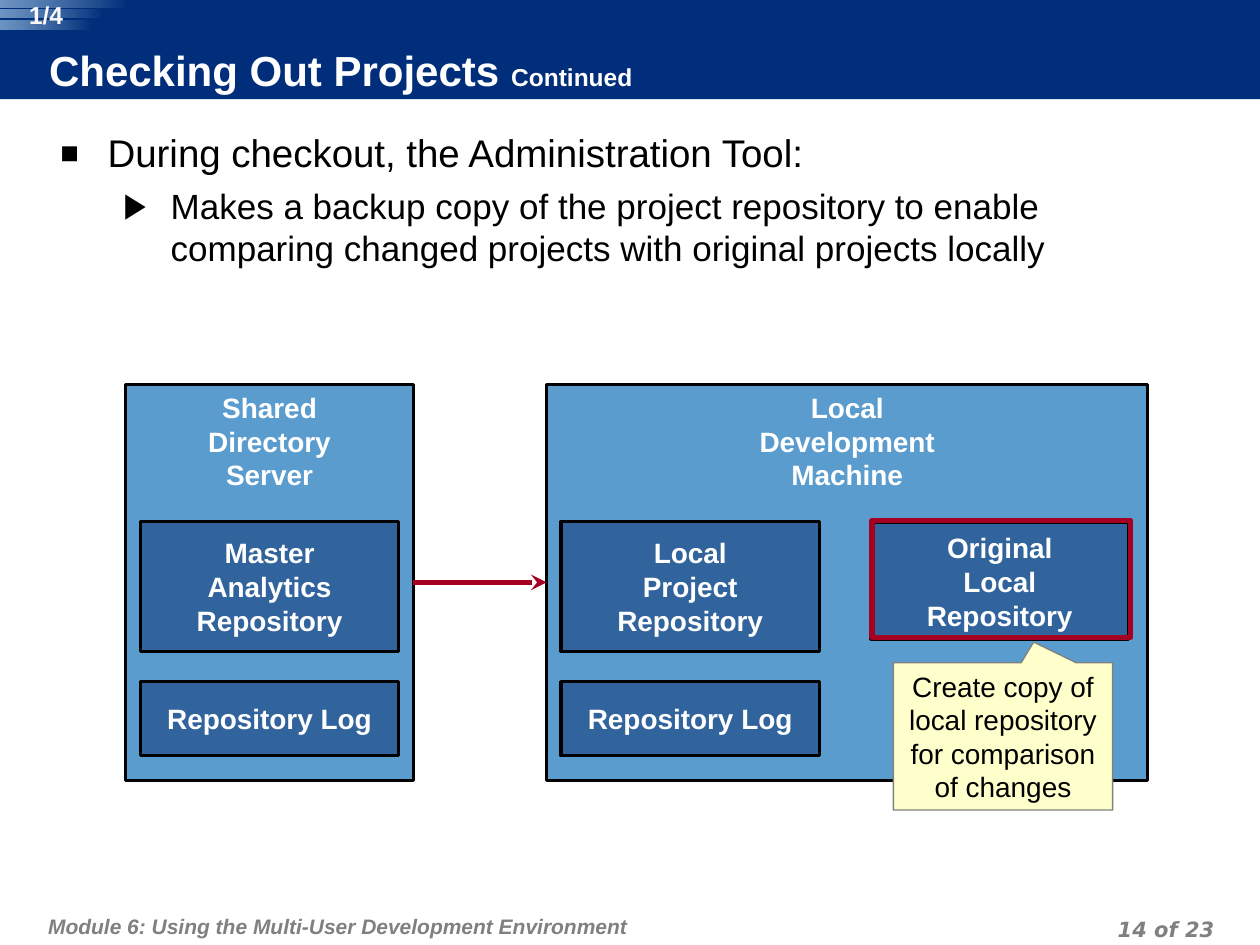
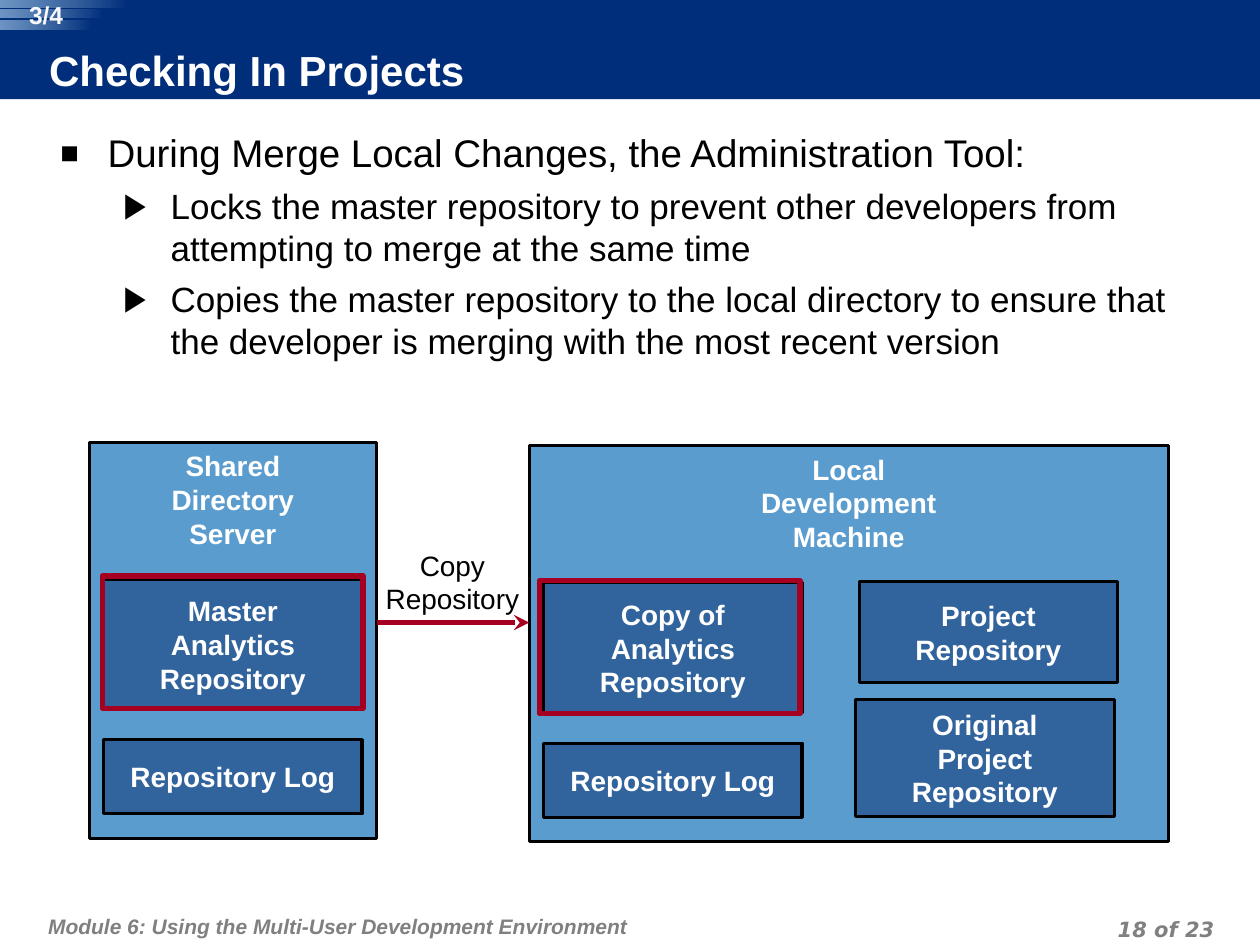
"""Build two slides on checking projects out of and into a shared repository."""
from dataclasses import dataclass
from typing import NamedTuple, Optional

import pptx
import pptx.dml.color
import pptx.enum.shapes
import pptx.enum.text
import pptx.oxml.ns
import pptx.shapes.autoshape
import pptx.shapes.connector
import pptx.slide
import pptx.text.text
import pptx.util
from lxml import etree

Cm = pptx.util.Cm
Pt = pptx.util.Pt
RGB = pptx.dml.color.RGBColor.from_string
qn = pptx.oxml.ns.qn
ShapeKind = pptx.enum.shapes.MSO_SHAPE
Align = pptx.enum.text.PP_ALIGN
Anchor = pptx.enum.text.MSO_ANCHOR


class TextStyle(NamedTuple):
    """Font settings of a paragraph."""
    size: float
    color: str
    bold: bool = False
    italic: bool = False
    font: str = "Arial"


class Area(NamedTuple):
    """A rectangle in centimetres."""
    left: float
    top: float
    width: float
    height: float


class Outline(NamedTuple):
    """Colour and width in points of a line."""
    color: str
    width: float


class Insets(NamedTuple):
    """Text margins in centimetres."""
    left: float = 0.25
    top: float = 0.13
    right: float = 0.25
    bottom: float = 0.13


@dataclass(frozen=True)
class Theme:
    """Colours, lines and type of the presentation."""
    navy: str = "002E7A"
    stripe: str = "90B5DA"
    panel: str = "5A9CCE"
    box: str = "31639C"
    note: str = "FFFFCC"
    black: str = "000000"
    border: Outline = Outline("000000", 1.75)
    accent: Outline = Outline("A50021", 3)
    note_border: Outline = Outline("808080", 0.75)
    title: TextStyle = TextStyle(24, "FFFFFF", bold=True)
    suffix_size: float = 14
    counter: TextStyle = TextStyle(14, "F8F8F8", bold=True)
    heading: TextStyle = TextStyle(22, "000000")
    point: TextStyle = TextStyle(20, "000000")
    box_text: TextStyle = TextStyle(16, "FFFFFF", bold=True)
    note_text: TextStyle = TextStyle(16, "000000")
    footer: TextStyle = TextStyle(12, "808080", bold=True, italic=True)
    page: TextStyle = TextStyle(12, "808080", bold=True, italic=True, font="DejaVu Sans")


THEME = Theme()
MODULE = "Module 6: Using the Multi-User Development Environment"
PAGE_TOTAL = 23
STRIPES = [Area(0, 0, 2.57, 0.15), Area(0, 0.2, 2.08, 0.15), Area(0, 0.41, 1.85, 0.18)]
BOX_WIDTH = 5.21


@dataclass(frozen=True)
class Panel:
    """A machine holding a repository box above a log box."""
    left: float
    top: float
    width: float
    title: str
    repository: str
    height: float = 7.98

    def area(self) -> Area:
        """Return the outer rectangle."""
        return Area(self.left, self.top, self.width, self.height)


@dataclass(frozen=True)
class Box:
    """A labelled repository box."""
    area: Area
    text: str


@dataclass(frozen=True)
class Page:
    """Wording of the parts that every slide has."""
    counter: str
    title: str
    suffix: str
    number: int
    heading: str
    points: tuple[str, ...]


def style_paragraph(paragraph: pptx.text.text._Paragraph, style: TextStyle) -> None:
    """Apply a text style to a paragraph."""
    font = paragraph.font
    font.name, font.size = style.font, Pt(style.size)
    font.bold, font.italic = style.bold, style.italic
    font.color.rgb = RGB(style.color)


def write(shape: pptx.shapes.autoshape.Shape, text: str, style: TextStyle,
          align: Align = Align.CENTER, anchor: Anchor = Anchor.TOP,
          insets: Insets = Insets(), wrap: bool = False) -> pptx.text.text.TextFrame:
    """Fill a shape with text, one paragraph a line."""
    frame = shape.text_frame
    frame.text = text
    frame.word_wrap, frame.vertical_anchor = wrap, anchor
    frame.margin_left, frame.margin_top = Cm(insets.left), Cm(insets.top)
    frame.margin_right, frame.margin_bottom = Cm(insets.right), Cm(insets.bottom)
    for paragraph in frame.paragraphs:
        paragraph.alignment = align
        style_paragraph(paragraph, style)
    return frame


def add_shape(slide: pptx.slide.Slide, area: Area, fill: Optional[str] = None,
              outline: Optional[Outline] = None,
              kind: ShapeKind = ShapeKind.RECTANGLE) -> pptx.shapes.autoshape.Shape:
    """Add a flat shape with an optional fill and outline."""
    shape = slide.shapes.add_shape(kind, *map(Cm, area))
    shape.shadow.inherit = False
    if fill:
        shape.fill.solid()
        shape.fill.fore_color.rgb = RGB(fill)
    else:
        shape.fill.background()
    if outline:
        shape.line.color.rgb = RGB(outline.color)
        shape.line.width = Pt(outline.width)
    else:
        shape.line.fill.background()
    return shape


def add_text(slide: pptx.slide.Slide, area: Area) -> pptx.shapes.autoshape.Shape:
    """Add an empty text box."""
    return slide.shapes.add_textbox(*map(Cm, area))


def add_stripe(slide: pptx.slide.Slide, area: Area) -> None:
    """Add a stripe that fades into the title band."""
    stripe = add_shape(slide, area, kind=ShapeKind.ROUNDED_RECTANGLE)
    stripe.adjustments[0] = 0
    stripe.fill.gradient()
    stripe.fill.gradient_angle = 180
    dark, light = stripe.fill.gradient_stops
    dark.color.rgb, light.color.rgb = RGB(THEME.navy), RGB(THEME.stripe)
    light_color = list(stripe._element.spPr.iter(qn("a:srgbClr")))[-1]
    etree.SubElement(light_color, qn("a:alpha"), val="76000")


def set_bullet(paragraph: pptx.text.text._Paragraph, mark: str, percent: int,
               indent: float) -> None:
    """Give a paragraph a hanging bullet."""
    properties = paragraph._p.get_or_add_pPr()
    properties.set("marL", str(Cm(indent)))
    properties.set("indent", str(-Cm(0.95)))
    color = etree.SubElement(properties, qn("a:buClr"))
    etree.SubElement(color, qn("a:srgbClr"), val=THEME.black)
    etree.SubElement(properties, qn("a:buSzPct"), val=str(percent * 1000))
    etree.SubElement(properties, qn("a:buFont"), typeface="Arial")
    etree.SubElement(properties, qn("a:buChar"), char=mark)


def add_body(slide: pptx.slide.Slide, page: Page) -> None:
    """Add the heading and its points."""
    frame = add_text(slide, Area(0.97, 2.36, 23.62, 15.7)).text_frame
    frame.word_wrap = True
    frame.margin_top = Cm(0.25)
    heading = frame.paragraphs[0]
    heading.text = page.heading
    set_bullet(heading, "■", 80, 0.95)
    style_paragraph(heading, THEME.heading)
    for text in page.points:
        point = frame.add_paragraph()
        point.text, point.level = text, 1
        set_bullet(point, "▶", 100, 2.22)
        point.space_before = Pt(5)
        style_paragraph(point, THEME.point)


def add_page(presentation: pptx.presentation.Presentation, page: Page) -> pptx.slide.Slide:
    """Add a slide with band, title, counter, body and footers."""
    slide = presentation.slides.add_slide(presentation.slide_layouts[6])
    add_shape(slide, Area(0, 0, 25.4, 2), THEME.navy)
    footer = write(add_text(slide, Area(0.84, 18.03, 15.7, 1.02)), MODULE, THEME.footer,
                   Align.LEFT, insets=Insets(0.13, 0.25, 0.13, 0.13), wrap=True)
    number = write(add_text(slide, Area(18.69, 18.34, 5.92, 0.64)),
                   f"{page.number} of {PAGE_TOTAL}", THEME.page, Align.RIGHT,
                   insets=Insets(0.13, 0, 0.13, 0), wrap=True)
    for frame in (footer, number):
        frame.paragraphs[0].line_spacing = Pt(18)
    title = write(add_shape(slide, Area(0.99, 0.97, 19.99, 1.02), THEME.navy), page.title,
                  THEME.title, Align.LEFT, Anchor.MIDDLE, Insets(0, 0, 0.13, 0.13), True)
    if page.suffix:
        suffix = title.paragraphs[0].add_run()
        suffix.text = page.suffix
        suffix.font.size = Pt(THEME.suffix_size)
    add_body(slide, page)
    for stripe in STRIPES:
        add_stripe(slide, stripe)
    write(add_text(slide, Area(0.28, 0, 1.3, 0.58)), page.counter, THEME.counter,
          insets=Insets(0, 0, 0, 0), wrap=True)
    return slide


def add_box(slide: pptx.slide.Slide, box: Box) -> None:
    """Add a labelled repository box."""
    write(add_shape(slide, box.area, THEME.box, THEME.border), box.text, THEME.box_text,
          anchor=Anchor.MIDDLE)


def add_panel(slide: pptx.slide.Slide, panel: Panel) -> pptx.shapes.autoshape.Shape:
    """Add a panel with its repository and log."""
    shape = add_shape(slide, panel.area(), THEME.panel, THEME.border)
    write(shape, panel.title, THEME.box_text)
    left = panel.left + 0.29
    add_box(slide, Box(Area(left, panel.top + 2.76, BOX_WIDTH, 2.62), panel.repository))
    add_box(slide, Box(Area(left, panel.top + 5.99, BOX_WIDTH, 1.5), "Repository Log"))
    return shape


def add_arrow(slide: pptx.slide.Slide, start: float, end: float,
              height: float) -> pptx.shapes.connector.Connector:
    """Add a horizontal arrow pointing right."""
    arrow = slide.shapes.add_connector(pptx.enum.shapes.MSO_CONNECTOR.STRAIGHT,
                                       Cm(start), Cm(height), Cm(end), Cm(height))
    arrow.line.color.rgb = RGB(THEME.accent.color)
    arrow.line.width = Pt(THEME.accent.width)
    etree.SubElement(arrow.line._get_or_add_ln(), qn("a:tailEnd"), type="stealth")
    etree.SubElement(arrow._element.spPr, qn("a:effectLst"))
    return arrow


def shared_server(left: float, top: float) -> Panel:
    """Describe the shared server panel."""
    return Panel(left, top, 5.79, "Shared\nDirectory\nServer", "Master\nAnalytics\nRepository")


def local_machine(left: float, top: float, width: float, repository: str) -> Panel:
    """Describe the local machine panel."""
    return Panel(left, top, width, "Local\nDevelopment\nMachine", repository)


def build_checkout(presentation: pptx.presentation.Presentation) -> None:
    """Build the slide on checking out."""
    slide = add_page(presentation, Page(
        "1/4", "Checking Out Projects ", "Continued", 14,
        "During checkout, the Administration Tool:",
        ("Makes a backup copy of the project repository to enable comparing changed "
         "projects with original projects locally",)))
    local = add_panel(slide, local_machine(11.02, 7.75, 12.12, "Local\nProject\nRepository"))
    add_box(slide, Box(Area(17.55, 10.54, BOX_WIDTH, 2.36), "Original\nLocal\nRepository"))
    shared = add_panel(slide, shared_server(2.54, 7.75))
    arrow = add_arrow(slide, 8.33, 11.02, 11.74)
    arrow.begin_connect(shared, 3)
    arrow.end_connect(local, 1)
    add_shape(slide, Area(17.58, 10.49, BOX_WIDTH, 2.36), outline=THEME.accent)
    callout = add_shape(slide, Area(18.01, 13.36, 4.42, 2.97), THEME.note, THEME.note_border,
                        ShapeKind.RECTANGULAR_CALLOUT)
    callout.adjustments[0], callout.adjustments[1] = 0.14, -0.64
    write(callout, "Create copy of local repository for comparison of changes",
          THEME.note_text, anchor=Anchor.MIDDLE, wrap=True)


def build_checkin(presentation: pptx.presentation.Presentation) -> None:
    """Build the slide on checking in."""
    slide = add_page(presentation, Page(
        "3/4", "Checking In Projects", "", 18,
        "During Merge Local Changes, the Administration Tool:",
        ("Locks the master repository to prevent other developers from attempting to "
         "merge at the same time",
         "Copies the master repository to the local directory to ensure that the "
         "developer is merging with the most recent version")))
    add_panel(slide, shared_server(1.8, 8.92))
    add_panel(slide, local_machine(10.67, 8.99, 12.88, "Copy of\nAnalytics\nRepository"))
    add_arrow(slide, 7.59, 10.67, 12.55)
    add_box(slide, Box(Area(17.32, 11.73, BOX_WIDTH, 2.03), "Project\nRepository"))
    add_box(slide, Box(Area(17.25, 14.1, BOX_WIDTH, 2.36), "Original\nProject\nRepository"))
    write(add_text(slide, Area(7.52, 10.92, 3.2, 1.63)), "Copy\nRepository", THEME.note_text)
    for left, top in ((2.06, 11.61), (10.87, 11.71)):
        add_shape(slide, Area(left, top, 5.26, 2.67), outline=THEME.accent)


def main() -> None:
    """Build and save the presentation."""
    presentation = pptx.Presentation()
    presentation.slide_width, presentation.slide_height = Cm(25.4), Cm(19.05)
    build_checkout(presentation)
    build_checkin(presentation)
    presentation.save("out.pptx")


if __name__ == "__main__":
    main()
